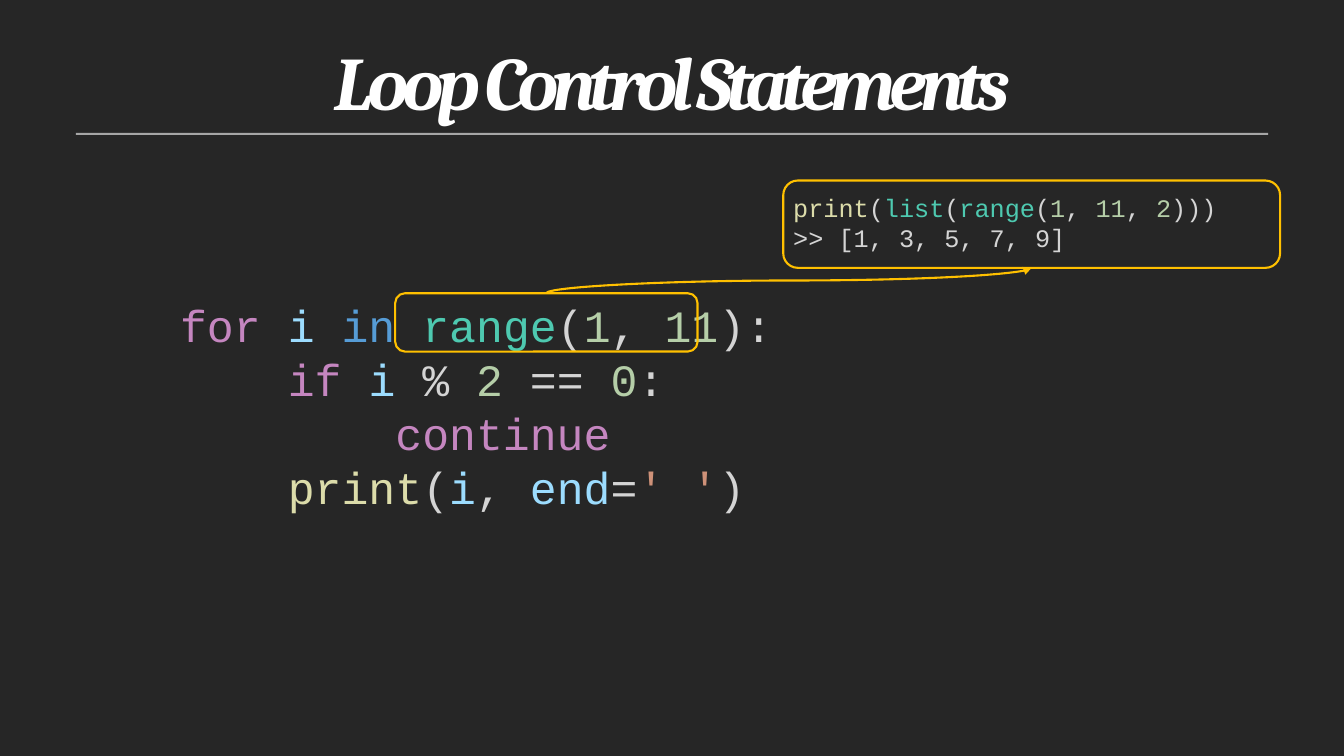
from dataclasses import dataclass

from lxml import etree
from pptx import Presentation
from pptx.dml.color import RGBColor
from pptx.enum.shapes import MSO_CONNECTOR, MSO_SHAPE
from pptx.enum.text import MSO_ANCHOR, MSO_AUTO_SIZE, PP_ALIGN
from pptx.oxml.ns import qn
from pptx.util import Cm, Pt

RECTANGLE = MSO_SHAPE.RECTANGLE
ROUNDED = MSO_SHAPE.ROUNDED_RECTANGLE
CURVE = MSO_CONNECTOR.CURVE
TOP = MSO_ANCHOR.TOP
CENTER = PP_ALIGN.CENTER
FIT_SHAPE = MSO_AUTO_SIZE.SHAPE_TO_FIT_TEXT
TITLE_ONLY = 5
TOP_SIDE, BOTTOM_SIDE = 0, 2


@dataclass(frozen=True)
class Theme:
    background: str = "262626"
    title: str = "FFFFFF"
    rule: str = "A6A6A6"
    accent: str = "FFC000"
    control: str = "C586C0"
    variable: str = "9CDCFE"
    operator: str = "569CD6"
    builtin: str = "4EC9B0"
    function: str = "DCDCAA"
    number: str = "B5CEA8"
    string: str = "CE9178"
    plain: str = "D4D4D4"
    title_font: str = "Cambria"
    code_font: str = "Courier New"
    title_size: float = 54
    title_leading: float = 80.7
    title_tracking: float = -4.8
    code_size: float = 32
    callout_size: float = 18
    outline: float = 1.5


THEME = Theme()

# Each line of code is a list of (text, syntax role) tokens
LOOP_CODE = [
    [("for ", "control"), ("i ", "variable"), ("in ", "operator"), ("range", "builtin"),
     ("(", "plain"), ("1", "number"), (", ", "plain"), ("11", "number"), ("):", "plain")],
    [("    ", "plain"), ("if ", "control"), ("i", "variable"), (" % ", "plain"),
     ("2", "number"), (" == ", "plain"), ("0", "number"), (":", "plain")],
    [("        ", "plain"), ("continue", "control")],
    [("    ", "plain"), ("print", "function"), ("(", "plain"), ("i", "variable"),
     (", ", "plain"), ("end", "variable"), ("=", "plain"), ("' '", "string"), (")", "plain")],
]
RANGE_CODE = [
    [("print", "function"), ("(", "plain"), ("list", "builtin"), ("(", "plain"),
     ("range", "builtin"), ("(", "plain"), ("1", "number"), (", ", "plain"),
     ("11", "number"), (", ", "plain"), ("2", "number"), (")))", "plain")],
    [(">> [1, 3, 5, 7, 9]", "plain")],
]


def rgb(role):
    return RGBColor.from_string(getattr(THEME, role))


def style_font(font, family, size, role):
    font.name = family
    font.size = Pt(size)
    font.color.rgb = rgb(role)


def set_title(slide, text, left, top, width, height):
    title = slide.shapes.title
    title.left, title.top, title.width, title.height = left, top, width, height
    frame = title.text_frame
    frame.text = text
    frame.vertical_anchor = TOP
    frame.auto_size = FIT_SHAPE
    paragraph = frame.paragraphs[0]
    paragraph.alignment = CENTER
    paragraph.line_spacing = Pt(THEME.title_leading)
    paragraph.space_before = Pt(0)
    font = paragraph.runs[0].font
    style_font(font, THEME.title_font, THEME.title_size, "title")
    font.bold = font.italic = True
    paragraph.runs[0]._r.get_or_add_rPr().set("spc", str(round(THEME.title_tracking * 100)))


def add_rule(slide, left, top, width, height):
    rule = slide.shapes.add_shape(RECTANGLE, left, top, width, height)
    rule.shadow.inherit = False
    rule.fill.solid()
    rule.fill.fore_color.rgb = rgb("rule")
    rule.line.fill.background()


def add_code(slide, lines, size, left, top, width, height):
    frame = slide.shapes.add_textbox(left, top, width, height).text_frame
    frame.word_wrap = True
    frame.auto_size = FIT_SHAPE
    for index, tokens in enumerate(lines):
        paragraph = frame.add_paragraph() if index else frame.paragraphs[0]
        for text, role in tokens:
            run = paragraph.add_run()
            run.text = text
            style_font(run.font, THEME.code_font, size, role)


def outline(line):
    line.color.rgb = rgb("accent")
    line.width = Pt(THEME.outline)


def add_frame(slide, left, top, width, height):
    frame = slide.shapes.add_shape(ROUNDED, left, top, width, height)
    frame.shadow.inherit = False
    frame.fill.background()
    outline(frame.line)
    return frame


def add_curved_arrow(slide, source, target):
    """Curve from the top of source up to the bottom of target."""
    arrow = slide.shapes.add_connector(CURVE, 0, 0, 0, 0)
    arrow.begin_connect(source, TOP_SIDE)
    arrow.end_connect(target, BOTTOM_SIDE)
    outline(arrow.line)
    properties = arrow._element.spPr
    etree.SubElement(arrow.line._get_or_add_ln(), qn("a:tailEnd"), type="triangle")
    etree.SubElement(properties, qn("a:effectLst"))

    # A quarter turn makes the curve leave and arrive vertically
    start_x = source.left + source.width // 2
    end_x = target.left + target.width // 2
    end_y = target.top + target.height
    run, rise = end_x - start_x, source.top - end_y
    arrow.left = (start_x + end_x - rise) // 2
    arrow.top = (source.top + end_y - run) // 2
    arrow.width, arrow.height = rise, run
    transform = properties.find(qn("a:xfrm"))
    for name, value in (("rot", "5400000"), ("flipH", "1"), ("flipV", "1")):
        transform.set(name, value)


def main():
    deck = Presentation()
    deck.slide_width, deck.slide_height = Cm(33.87), Cm(19.05)
    slide = deck.slides.add_slide(deck.slide_layouts[TITLE_ONLY])
    slide.background.fill.solid()
    slide.background.fill.fore_color.rgb = rgb("background")

    # Heading
    add_rule(slide, Cm(1.91), Cm(3.35), Cm(30.05), Cm(0.05))
    set_title(slide, "Loop Control Statements", Cm(2.87), Cm(0.18), Cm(28.14), Cm(2.92))

    # Code
    add_code(slide, LOOP_CODE, THEME.code_size, Cm(4.29), Cm(7.39), Cm(20.47), Cm(5.74))
    add_code(slide, RANGE_CODE, THEME.callout_size, Cm(19.74), Cm(4.72), Cm(12.52), Cm(1.8))

    # Highlighted range and its explanation
    range_frame = add_frame(slide, Cm(9.96), Cm(7.39), Cm(7.62), Cm(1.47))
    callout_frame = add_frame(slide, Cm(19.74), Cm(4.55), Cm(12.52), Cm(2.2))
    add_curved_arrow(slide, range_frame, callout_frame)

    deck.save("out.pptx")


if __name__ == "__main__":
    main()
